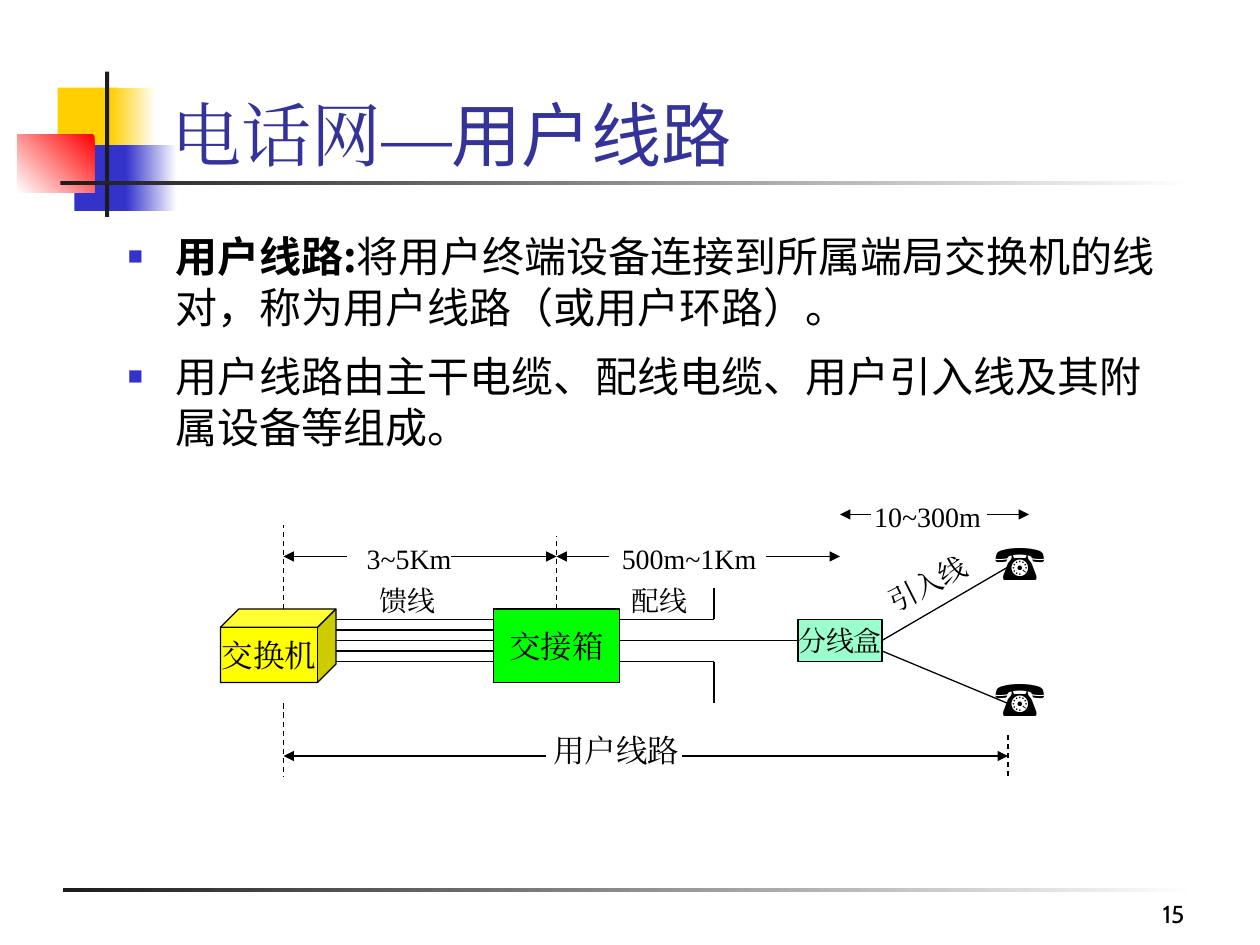
from lxml import etree
from pptx import Presentation
from pptx import util as u
from pptx.dml.color import RGBColor
from pptx.enum import dml, shapes, text
from pptx.oxml.ns import qn

SERIF, SANS = "Times New Roman", "Noto Sans CJK SC"
BLACK, DARK, WHITE = "000000", "1C1C1C", "FFFFFF"
YELLOW, BLUE, RED = "FFCF01", "3333CC", "FF0000"
LEFT, CENTER, RIGHT = text.PP_ALIGN.LEFT, text.PP_ALIGN.CENTER, text.PP_ALIGN.RIGHT
TOP, MIDDLE, BOTTOM = text.MSO_ANCHOR.TOP, text.MSO_ANCHOR.MIDDLE, text.MSO_ANCHOR.BOTTOM


def rgb(value):
    return RGBColor.from_string(value)


def points(*values):
    return [u.Pt(value) for value in values]


def add_span(para, words, size=16, font=SERIF, color=BLACK, bold=False):
    """Append a run whose Latin and East Asian fonts are the same."""
    span = para.add_run()
    span.text = words
    span.font.size = u.Pt(size)
    span.font.bold = bold
    span.font.name = font
    span.font.color.rgb = rgb(color)
    east_asian = etree.SubElement(span.font._element, qn("a:ea"))
    east_asian.set("typeface", font)


def set_frame(box, anchor, wrap):
    frame = box.text_frame
    frame.auto_size = text.MSO_AUTO_SIZE.NONE
    frame.word_wrap = wrap
    frame.vertical_anchor = anchor
    return frame


def write(box, words, align=CENTER, anchor=MIDDLE, wrap=False, **style):
    para = set_frame(box, anchor, wrap).paragraphs[0]
    para.alignment = align
    add_span(para, words, **style)


def add_label(page, words, place, turn=0, **style):
    box = page.shapes.add_textbox(*points(*place))
    box.rotation = turn
    write(box, words, **style)


def add_block(page, place, fill, fade_angle=None, outlined=False,
              kind=shapes.MSO_SHAPE.RECTANGLE):
    """Add a filled shape; fade_angle makes the fill run out to white."""
    block = page.shapes.add_shape(kind, *points(*place))
    block.shadow.inherit = False
    if fade_angle is None:
        block.fill.solid()
        block.fill.fore_color.rgb = rgb(fill)
    else:
        block.fill.gradient()
        block.fill.gradient_angle = fade_angle
        for stop, color in zip(block.fill.gradient_stops, (fill, WHITE)):
            stop.color.rgb = rgb(color)
    if outlined:
        block.line.color.rgb = rgb(BLACK)
        block.line.width = u.Pt(0.75)
    else:
        block.line.fill.background()
    return block


def add_line(page, start, end, dashed=False, arrow=False):
    line = page.shapes.add_connector(shapes.MSO_CONNECTOR.STRAIGHT, *points(*start, *end))
    line.line.color.rgb = rgb(BLACK)
    line.line.width = u.Pt(0.75)
    if dashed:
        line.line.dash_style = dml.MSO_LINE.DASH
    if arrow:
        tail = etree.SubElement(line.line._get_or_add_ln(), qn("a:tailEnd"))
        tail.set("type", "triangle")
    etree.SubElement(line._element.spPr, qn("a:effectLst"))


def add_bullet(para):
    properties = para._p.get_or_add_pPr()
    properties.set("marL", str(u.Pt(27)))
    properties.set("indent", str(-u.Pt(27)))
    color = etree.SubElement(properties, qn("a:buClr"))
    etree.SubElement(color, qn("a:srgbClr")).set("val", BLUE)
    etree.SubElement(properties, qn("a:buSzPct")).set("val", "60000")
    etree.SubElement(properties, qn("a:buFont")).set("typeface", "Arial")
    etree.SubElement(properties, qn("a:buChar")).set("char", "■")


def draw_decoration(page):
    add_block(page, (33, 50, 34.5, 37.5), YELLOW)
    add_block(page, (63, 50, 26, 37.5), YELLOW, fade_angle=0)
    add_block(page, (42.5, 83, 33, 37.5), BLUE)
    add_block(page, (72, 83, 29, 37.5), BLUE, fade_angle=0)
    add_block(page, (10, 77, 44, 33), RED, fade_angle=225)
    add_block(page, (60, 41, 2.4, 83), DARK)
    add_block(page, (34.5, 103.5, 648, 2.5), DARK, fade_angle=0)
    add_block(page, (36, 507.5, 648, 2.5), DARK, fade_angle=0)


def write_title(page):
    title = page.shapes.title
    title.left, title.top, title.width, title.height = points(91, 20, 613, 84)
    write(title, "电话网—", align=LEFT, anchor=BOTTOM, wrap=True, size=40, color="333399")
    add_span(title.text_frame.paragraphs[0], "用户线路", size=40, font=SANS, color="333399")


def write_body(page):
    box = page.shapes.add_textbox(*points(66, 128, 612, 322))
    frame = set_frame(box, TOP, True)
    items = [
        [("用户线路:", True), ("将用户终端设备连接到所属端局交换机的线对，称为用户线路（或用户环路）。", False)],
        [("用户线路由主干电缆、配线电缆、用户引入线及其附属设备等组成。", False)],
    ]
    for index, spans in enumerate(items):
        para = frame.add_paragraph() if index else frame.paragraphs[0]
        add_bullet(para)
        para.line_spacing = u.Pt(29)
        para.space_before = u.Pt(10.5 if index else 0)
        for words, bold in spans:
            add_span(para, words, size=24, font=SANS, bold=bold)


def draw_network(page):
    cube, box = shapes.MSO_SHAPE.CUBE, shapes.MSO_SHAPE.RECTANGLE
    for words, place, fill, kind, size in [
        ("交换机", (126, 348, 66, 42), "FFFF00", cube, 18),
        ("交接箱", (282, 348, 72, 42), "00FF00", box, 18),
        ("分线盒", (456, 354, 48, 24), "99FFCC", box, 16),
    ]:
        write(add_block(page, place, fill, outlined=True, kind=kind), words, size=size)

    for y in range(354, 379, 6):
        add_line(page, (192, y), (282, y))
    add_line(page, (354, 366), (456, 366))
    for y, end in ((354, 336), (378, 402)):
        add_line(page, (354, y), (408, y))
        add_line(page, (408, y), (408, end))
    add_line(page, (504, 366), (576, 324))
    add_line(page, (504, 372), (576, 402))
    for top in (300, 378):
        add_label(page, "☎", (561.5, top, 44, 41), align=LEFT, anchor=TOP,
                  size=28, font="Arial")


def draw_dimensions(page):
    for x, start, end in ((162, 348, 300), (318, 348, 306), (576, 420, 444), (162, 402, 444)):
        add_line(page, (x, start), (x, end), dashed=True)
    for y, start, end in [
        (318, 258, 318), (318, 438, 480), (294, 564, 588), (318, 198, 162),
        (318, 348, 318), (294, 498, 480), (432, 390, 576), (432, 312, 162),
    ]:
        add_line(page, (start, y), (end, y), arrow=True)
    for words, place in [
        ("3~5Km", (202.5, 306, 62.5, 26.5)),
        ("500m~1Km", (348, 306, 91.5, 26.5)),
        ("10~300m", (492.5, 282, 75, 26.5)),
        ("馈线", (210, 330, 46, 26.5)),
        ("配线", (354, 330, 46, 26.5)),
    ]:
        add_label(page, words, place)
    add_label(page, "引入线", (493, 320, 74, 26.5), turn=-26.9)
    add_label(page, "用户线路", (309, 414, 86.5, 29), size=18)


def main():
    deck = Presentation()
    deck.slide_width, deck.slide_height = points(720, 540)
    page = deck.slides.add_slide(deck.slide_layouts[5])
    draw_decoration(page)
    write_title(page)
    write_body(page)
    draw_network(page)
    draw_dimensions(page)
    add_label(page, "15", (534, 498, 150, 36), align=RIGHT, anchor=BOTTOM,
              wrap=True, size=14, font="Cabin")
    deck.save("out.pptx")


if __name__ == "__main__":
    main()
